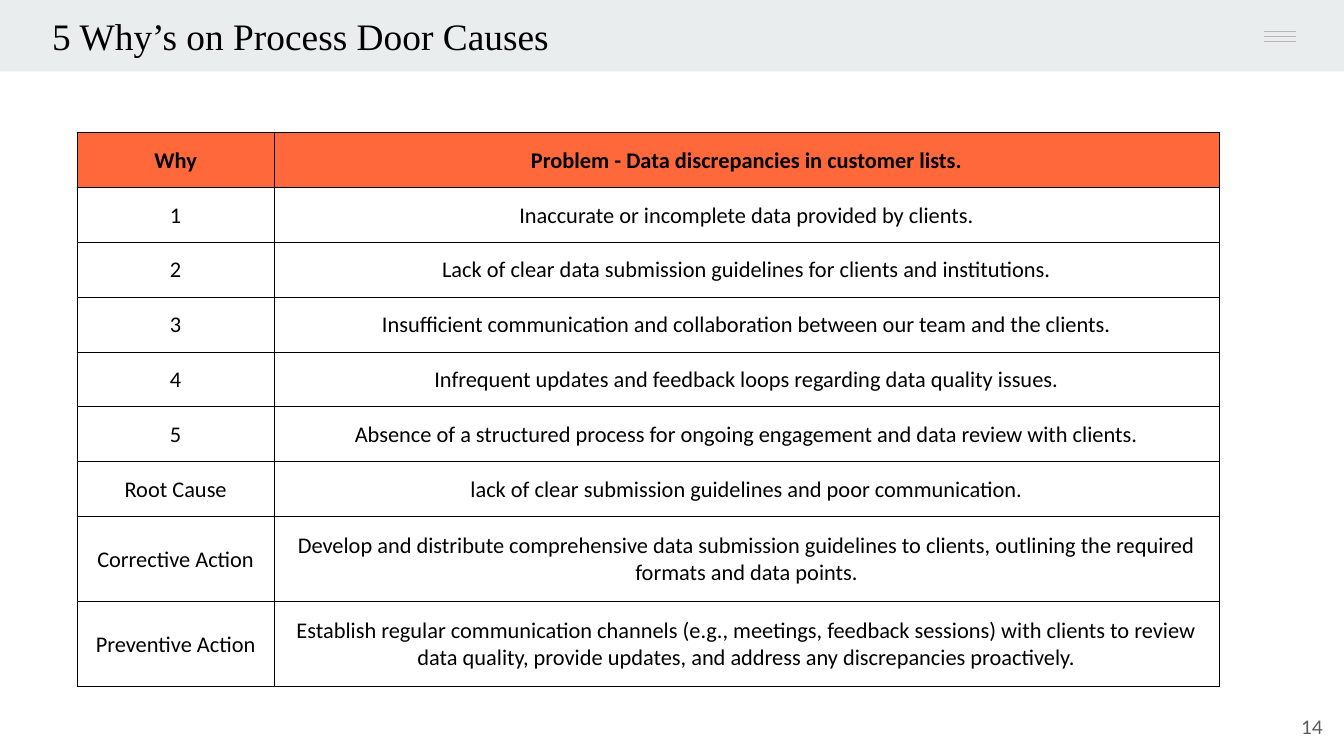
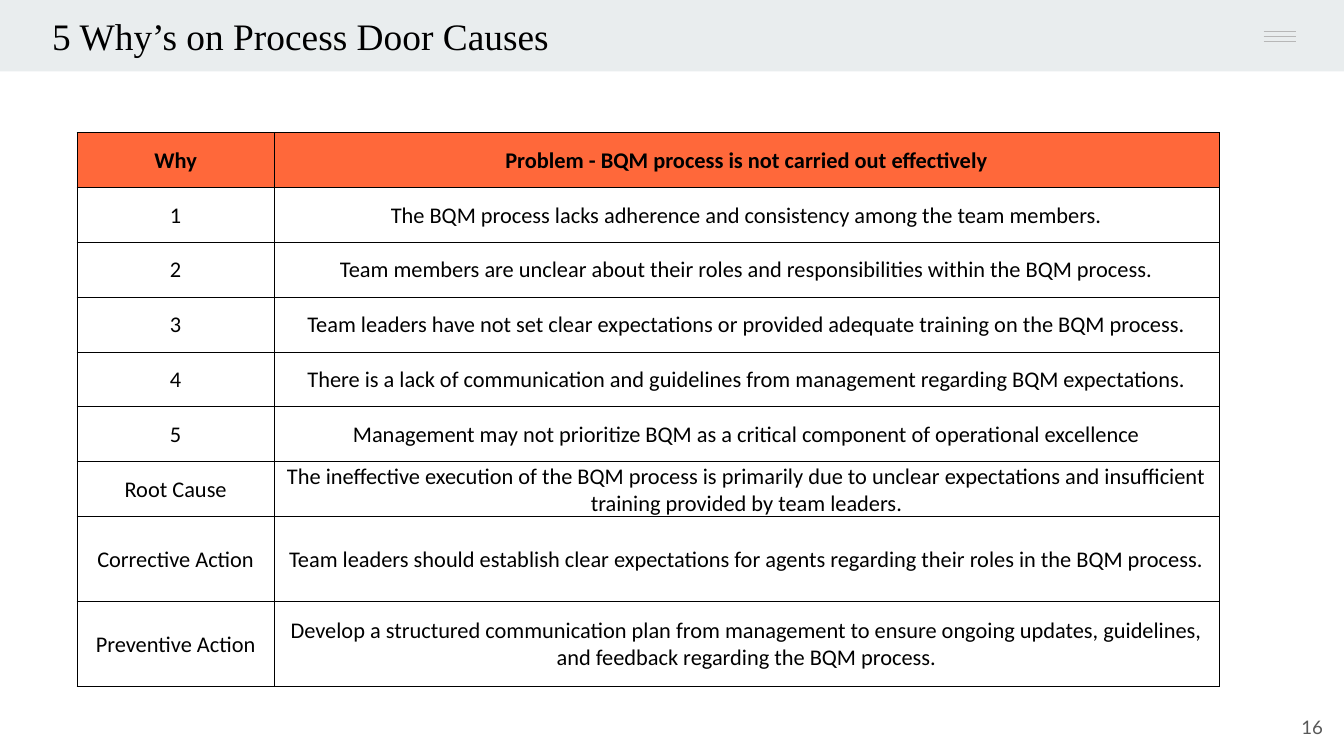
import pptx
import pptx.dml.color
import pptx.enum.shapes
import pptx.enum.text
import pptx.oxml
import pptx.oxml.ns
import pptx.util

Pt = pptx.util.Pt
ALIGN = pptx.enum.text.PP_ALIGN
ANCHOR = pptx.enum.text.MSO_ANCHOR

COLORS = {
    "band": "E9EDEE",
    "rule": "B7B7B7",
    "head": "FF683A",
    "ink": "000000",
    "page": "595959",
}
TITLE = "5 Why’s on Process Door Causes"
LABELS = ["Why", "1", "2", "3", "4", "5", "Root Cause", "Corrective Action", "Preventive Action"]
WIDTHS = [105.6, 506.2]
HEIGHTS = [29.4] * 7 + [45.5] * 2
SLIDES = [
    (14, [
        "Problem - Data discrepancies in customer lists.",
        "Inaccurate or incomplete data provided by clients.",
        "Lack of clear data submission guidelines for clients and institutions.",
        "Insufficient communication and collaboration between our team and the clients.",
        "Infrequent updates and feedback loops regarding data quality issues.",
        "Absence of a structured process for ongoing engagement and data review with clients.",
        "lack of clear submission guidelines and poor communication.",
        "Develop and distribute comprehensive data submission guidelines to clients, "
        "outlining the required formats and data points.",
        "Establish regular communication channels (e.g., meetings, feedback sessions) with "
        "clients to review data quality, provide updates, and address any discrepancies proactively.",
    ]),
    (16, [
        "Problem - BQM process is not carried out effectively",
        "The BQM process lacks adherence and consistency among the team members.",
        "Team members are unclear about their roles and responsibilities within the BQM process.",
        "Team leaders have not set clear expectations or provided adequate training on the BQM process.",
        "There is a lack of communication and guidelines from management regarding BQM expectations.",
        "Management may not prioritize BQM as a critical component of operational excellence",
        "The ineffective execution of the BQM process is primarily due to unclear expectations "
        "and insufficient training provided by team leaders.",
        "Team leaders should establish clear expectations for agents regarding their roles in the BQM process.",
        "Develop a structured communication plan from management to ensure ongoing updates, "
        "guidelines, and feedback regarding the BQM process.",
    ]),
]


def color(name):
    return pptx.dml.color.RGBColor.from_string(COLORS[name])


def write(frame, text, font, size, ink, align, bold=False):
    frame.text = text
    line = frame.paragraphs[0]
    line.alignment = align
    face = line.runs[0].font
    face.name, face.size, face.bold = font, Pt(size), bold
    face.color.rgb = color(ink)


def add_box(slide, spot, inset, anchor, text, font, size, ink, align):
    frame = slide.shapes.add_textbox(*map(Pt, spot)).text_frame
    frame.word_wrap = True
    frame.vertical_anchor = anchor
    frame.margin_left = Pt(inset)
    frame.margin_right = frame.margin_top = frame.margin_bottom = Pt(7.2)
    write(frame, text, font, size, ink, align)


def add_band(slide):
    kind = pptx.enum.shapes.MSO_SHAPE.RECTANGLE
    band = slide.shapes.add_shape(kind, 0, 0, Pt(720), Pt(38.3))
    band.shadow.inherit = False
    band.fill.solid()
    band.fill.fore_color.rgb = color("band")
    band.line.fill.background()


def add_rule(slide, y):
    kind = pptx.enum.shapes.MSO_CONNECTOR.STRAIGHT
    rule = slide.shapes.add_connector(kind, Pt(677), Pt(y), Pt(694.2), Pt(y))
    rule.line.color.rgb = color("rule")
    rule.line.width = Pt(0.75)
    props = rule._element.spPr
    props.append(props.makeelement(pptx.oxml.ns.qn("a:effectLst"), {}))


def add_edges(cell):
    props = cell._tc.get_or_add_tcPr()
    for i, side in enumerate(["lnL", "lnR", "lnT", "lnB"]):
        edge = pptx.oxml.parse_xml(
            f'<a:{side} {pptx.oxml.ns.nsdecls("a")} w="{Pt(0.5)}"><a:solidFill>'
            f'<a:srgbClr val="{COLORS["ink"]}"/></a:solidFill></a:{side}>'
        )
        props.insert(i, edge)


def fill_cell(cell, text, head):
    cell.margin_left = cell.margin_right = cell.margin_top = Pt(0.6)
    cell.margin_bottom = 0
    cell.vertical_anchor = ANCHOR.MIDDLE
    write(cell.text_frame, text, "Calibri", 12, "ink", ALIGN.CENTER, head)
    if head:
        cell.fill.solid()
        cell.fill.fore_color.rgb = color("head")
    else:
        cell.fill.background()
    add_edges(cell)


def add_whys(slide, answers):
    spot = map(Pt, (41.3, 71, sum(WIDTHS), sum(HEIGHTS)))
    table = slide.shapes.add_table(len(LABELS), len(WIDTHS), *spot).table
    table.first_row = table.horz_banding = False
    for col, width in zip(table.columns, WIDTHS):
        col.width = Pt(width)
    for row, height in zip(table.rows, HEIGHTS):
        row.height = Pt(height)
    for r, pair in enumerate(zip(LABELS, answers)):
        for c, text in enumerate(pair):
            fill_cell(table.cell(r, c), text, r == 0)


def add_frame(slide, page):
    add_band(slide)
    for i in range(3):
        add_rule(slide, 16.9 + 2.6 * i)
    add_box(slide, (15.8, 0, 368.6, 38.3), 12.2, ANCHOR.TOP,
            TITLE, "Times New Roman", 20, "ink", ALIGN.LEFT)
    add_box(slide, (672.6, 374, 43.2, 31), 7.2, ANCHOR.MIDDLE,
            str(page), "Lato", 10, "page", ALIGN.RIGHT)


def main():
    deck = pptx.Presentation()
    deck.slide_width, deck.slide_height = Pt(720), Pt(405)
    for page, answers in SLIDES:
        slide = deck.slides.add_slide(deck.slide_layouts[6])
        add_frame(slide, page)
        add_whys(slide, answers)
    deck.save("out.pptx")


if __name__ == "__main__":
    main()
